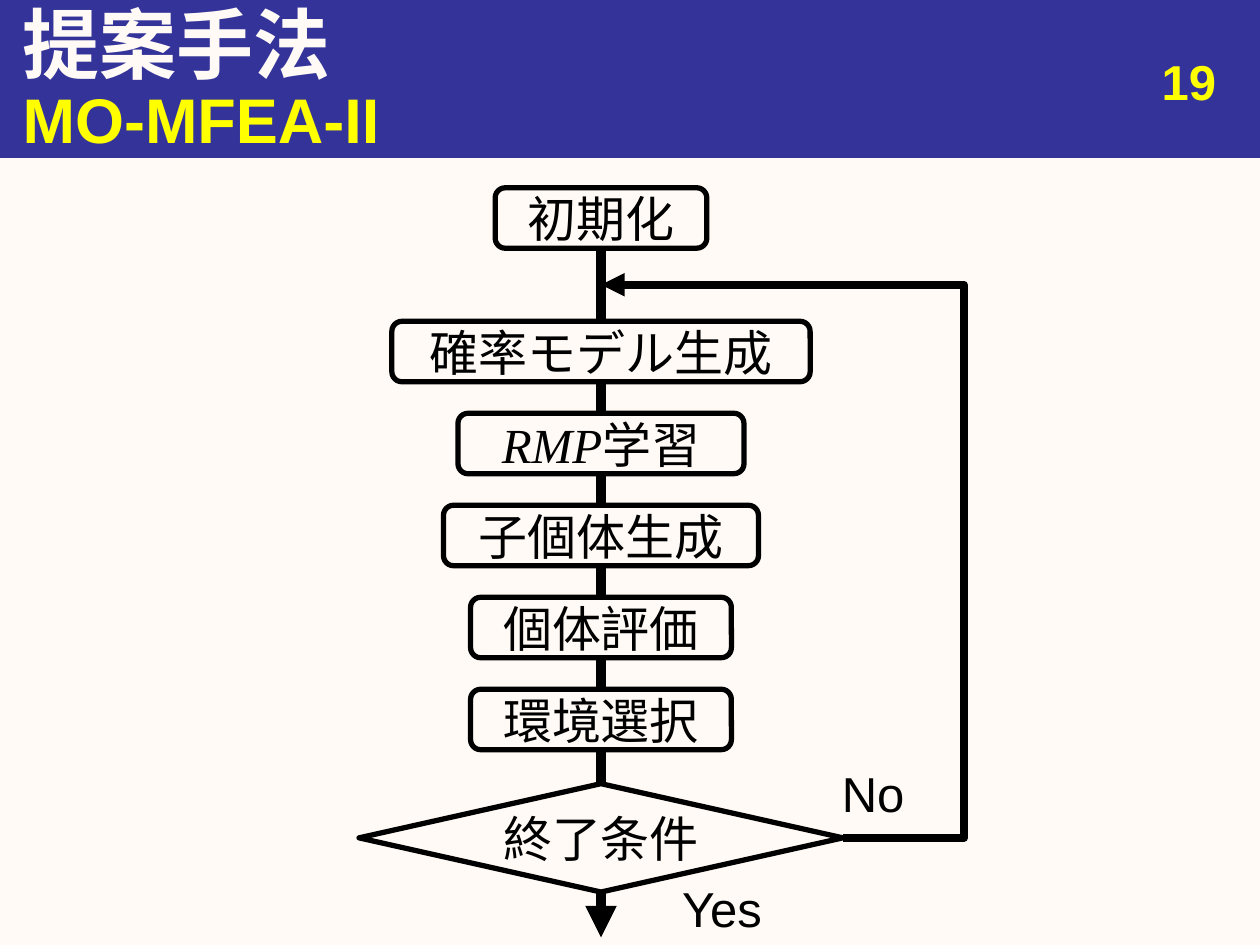
from lxml import etree
from pptx import Presentation
from pptx.dml.color import RGBColor
from pptx.enum.shapes import MSO_CONNECTOR, MSO_SHAPE
from pptx.enum.text import MSO_ANCHOR, MSO_AUTO_SIZE, PP_ALIGN
from pptx.oxml.ns import qn
from pptx.util import Inches, Pt

RECT, ROUNDED = MSO_SHAPE.RECTANGLE, MSO_SHAPE.ROUNDED_RECTANGLE
DECISION = MSO_SHAPE.FLOWCHART_DECISION
STRAIGHT = MSO_CONNECTOR.STRAIGHT
LEFT, CENTER, RIGHT = PP_ALIGN.LEFT, PP_ALIGN.CENTER, PP_ALIGN.RIGHT
TOP, MIDDLE = MSO_ANCHOR.TOP, MSO_ANCHOR.MIDDLE
NO_FIT = MSO_AUTO_SIZE.NONE
BLACK, CREAM, NAVY, YELLOW = "000000", "FFFAF5", "333399", "FFFF00"
SANS, SERIF = "Arial", "Times New Roman"

TITLE, SUBTITLE, NUMBER = "提案手法", "MO-MFEA-II", "19"
START = ([("初期化", SANS)], 1.68)
LOOP_STEPS = [  # runs with their font, box width
    ([("確率モデル生成", SANS)], 3.32),
    ([("RMP", SERIF), ("学習", SANS)], 2.27),
    ([("子個体生成", SANS)], 2.5),
    ([("個体評価", SANS)], 2.07),
    ([("環境選択", SANS)], 2.07),
]
CONDITION = ([("終了条件", SANS)], 3.84)
BRANCH_LABELS = [("Yes", 5.23, 6.92), ("No", 6.43, 6.01)]

AXIS = 4.77
START_TOP, LOOP_TOP, PITCH = 1.49, 2.55, 0.73
STEP_HEIGHT, CONDITION_HEIGHT = 0.48, 0.86
CONDITION_TOP = 6.22
RETURN_X, RETURN_Y, EXIT_Y = 7.65, 2.26, 7.44


def color(code):
    return RGBColor.from_string(code)


def place(shape, left, top, width, height):
    shape.left, shape.top = Inches(left), Inches(top)
    shape.width, shape.height = Inches(width), Inches(height)


def write(box, runs, size=28, code=BLACK, align=CENTER, anchor=MIDDLE, bold=False, wrap=True):
    frame = box.text_frame
    frame.auto_size = NO_FIT
    frame.word_wrap, frame.vertical_anchor = wrap, anchor
    para = frame.paragraphs[0]
    para.alignment, para.space_before = align, Pt(0)
    for text, font in runs:
        span = para.add_run()
        span.text = text
        span.font.name, span.font.size = font, Pt(size)
        span.font.bold, span.font.italic = bold, font == SERIF
        span.font.color.rgb = color(code)


def remove_bullet(para):
    properties = para._p.get_or_add_pPr()
    properties.set("marL", "0")
    properties.set("indent", "0")
    etree.SubElement(properties, qn("a:buNone"))


def add_step(page, kind, step, top, height):
    runs, width = step
    box = page.shapes.add_shape(kind, Inches(AXIS - width / 2), Inches(top),
                                Inches(width), Inches(height))
    box.shadow.inherit = False
    box.fill.background()
    box.line.color.rgb, box.line.width = color(BLACK), Pt(3)
    write(box, runs, wrap=False)
    return box


def style_line(line, width, arrow=False):
    line.color.rgb, line.width = color(BLACK), Pt(width)
    if arrow:
        outline = line._get_or_add_ln()
        etree.SubElement(outline, qn("a:round"))
        etree.SubElement(outline, qn("a:tailEnd"), type="triangle")


def add_flow(page, upper, lower=None):
    """Link two steps down the axis, or lead out of the chart with an arrow."""
    flow = page.shapes.add_connector(STRAIGHT, Inches(AXIS), upper.top + upper.height,
                                     Inches(AXIS), Inches(EXIT_Y))
    flow.begin_connect(upper, 2)
    if lower is not None:
        flow.end_connect(lower, 0)
    style_line(flow.line, 6, arrow=lower is None)
    etree.SubElement(flow._element.spPr, qn("a:effectLst"))


def add_return(page):
    exit_x = AXIS + CONDITION[1] / 2
    exit_y = CONDITION_TOP + CONDITION_HEIGHT / 2
    points = [(RETURN_X, exit_y), (RETURN_X, RETURN_Y), (AXIS, RETURN_Y)]
    builder = page.shapes.build_freeform(Inches(exit_x), Inches(exit_y))
    builder.add_line_segments([(Inches(x), Inches(y)) for x, y in points], close=False)
    route = builder.convert_to_shape()
    route.shadow.inherit = False
    route.fill.background()
    style_line(route.line, 4.5, arrow=True)


def add_header(page):
    title, subtitle = page.shapes.title, page.placeholders[1]
    band = page.shapes.add_shape(RECT, 0, 0, Inches(10), Inches(1.25))
    band.shadow.inherit = False
    band.fill.solid()
    band.fill.fore_color.rgb = band.line.color.rgb = color(NAVY)
    band.line.width = Pt(0.75)
    title.element.addprevious(band.element)

    place(title, 0.08, 0, 9.92, 0.67)
    write(title, [(TITLE, SANS)], 44, CREAM, LEFT, bold=True)
    place(subtitle, 0.08, 0.62, 9.92, 0.63)
    remove_bullet(subtitle.text_frame.paragraphs[0])
    write(subtitle, [(SUBTITLE, SANS)], 36, YELLOW, LEFT, bold=True)
    number = page.shapes.add_textbox(Inches(7.42), Inches(0.36), Inches(2.33), Inches(0.52))
    write(number, [(NUMBER, SANS)], 28, YELLOW, RIGHT, TOP, bold=True)


def main():
    deck = Presentation()
    deck.slide_width, deck.slide_height = Inches(10), Inches(7.5)
    page = deck.slides.add_slide(deck.slide_layouts[1])
    page.background.fill.solid()
    page.background.fill.fore_color.rgb = color(CREAM)
    add_header(page)

    steps = [add_step(page, ROUNDED, START, START_TOP, STEP_HEIGHT)]
    for row, step in enumerate(LOOP_STEPS):
        steps.append(add_step(page, ROUNDED, step, LOOP_TOP + row * PITCH, STEP_HEIGHT))
    steps.append(add_step(page, DECISION, CONDITION, CONDITION_TOP, CONDITION_HEIGHT))
    for upper, lower in zip(steps, steps[1:] + [None]):
        add_flow(page, upper, lower)
    add_return(page)

    for text, left, top in BRANCH_LABELS:
        label = page.shapes.add_textbox(Inches(left), Inches(top), Inches(1), Inches(0.57))
        write(label, [(text, SANS)], anchor=TOP)
    deck.save("out.pptx")


if __name__ == "__main__":
    main()
